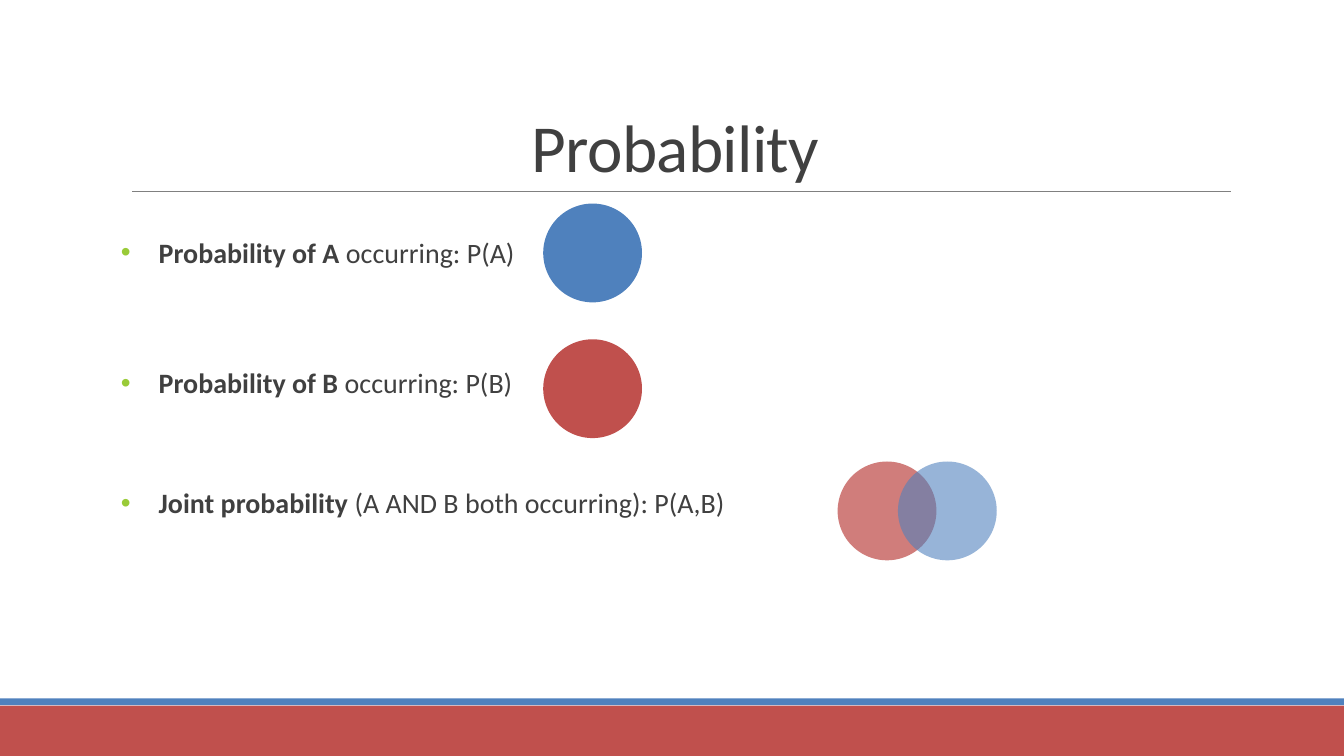
"""Build the Probability slide with its event circles."""
from lxml.etree import SubElement as Sub
from pptx import Presentation
from pptx.dml.color import RGBColor
from pptx.enum.shapes import MSO_CONNECTOR as Link, MSO_SHAPE as Kind
from pptx.enum.text import MSO_ANCHOR as Anchor, PP_ALIGN as Align
from pptx.oxml.ns import qn
from pptx.util import Cm, Pt

BLUE, RED, GREY, GREEN = "4F81BD", "C0504D", "404040", "99CB38"


def paint(part, tint, alpha=100):
    part.solid()
    part.fore_color.rgb = RGBColor.from_string(tint)
    if alpha < 100:
        node = next(part.fore_color._xFill.iter(qn("a:srgbClr")))
        Sub(node, qn("a:alpha"), val=str(alpha * 1000))


def write(para, text, size=20, bold=False, track=0):
    run = para.add_run()
    run.text = text
    run.font.name = "Calibri"
    run.font.size = Pt(size)
    run.font.bold = bold
    paint(run.font.fill, GREY)
    if track:
        run.font._element.set("spc", str(track))


deck = Presentation()
deck.slide_width, deck.slide_height = Cm(33.87), Cm(19.05)
slide = deck.slides.add_slide(deck.slide_layouts[6])
shapes = slide.shapes

rule = shapes.add_connector(Link.STRAIGHT, Cm(3.33), Cm(4.83), Cm(31.01), Cm(4.83))
paint(rule.line.fill, "808080")
rule.line.width = Pt(0.5)
Sub(rule._element.spPr, qn("a:effectLst"))

title = shapes.add_textbox(Cm(3.05), Cm(0.79), Cm(27.94), Cm(4.04)).text_frame
title.word_wrap = True
title.vertical_anchor = Anchor.BOTTOM
head = title.paragraphs[0]
head.alignment = Align.CENTER
head.line_spacing = 0.85
write(head, "Probability", size=48, track=-50)

body = shapes.add_textbox(Cm(3.05), Cm(5.13), Cm(27.94), Cm(11.18)).text_frame
body.word_wrap = True
body.margin_left = body.margin_right = 0
body.margin_top = Cm(0.89)
items = [
    ("Probability of A ", "occurring: P(A)", 0),
    ("Probability of B ", "occurring: P(B)", 71.5),
    ("Joint probability ", "(A AND B both occurring): P(A,B)", 64.5),
]
for i, (term, rest, gap) in enumerate(items):
    para = body.add_paragraph() if i else body.paragraphs[0]
    para.line_spacing = 0.9
    para.space_before = Pt(gap)
    props = para._p.get_or_add_pPr()
    props.set("marL", str(Cm(0.95)))
    props.set("indent", str(-Cm(0.95)))
    Sub(Sub(props, qn("a:buClr")), qn("a:srgbClr"), val=GREEN)
    Sub(props, qn("a:buFont"), typeface="Arial")
    Sub(props, qn("a:buChar"), char="•")
    write(para, term, bold=True)
    write(para, rest)

forms = [
    (Kind.RECTANGLE, 0, 17.78, 33.87, 1.27, RED, 100),
    (Kind.RECTANGLE, 0, 17.6, 33.87, 0.17, BLUE, 100),
    (Kind.OVAL, 13.69, 5.13, 2.49, 2.49, BLUE, 100),
    (Kind.OVAL, 13.69, 8.55, 2.49, 2.49, RED, 100),
    (Kind.OVAL, 21.11, 11.63, 2.49, 2.49, RED, 74),
    (Kind.OVAL, 22.63, 11.63, 2.49, 2.49, BLUE, 59),
]
for kind, left, top, wide, high, tint, alpha in forms:
    form = shapes.add_shape(kind, Cm(left), Cm(top), Cm(wide), Cm(high))
    form.shadow.inherit = False
    form.line.fill.background()
    paint(form.fill, tint, alpha)

deck.save("out.pptx")
